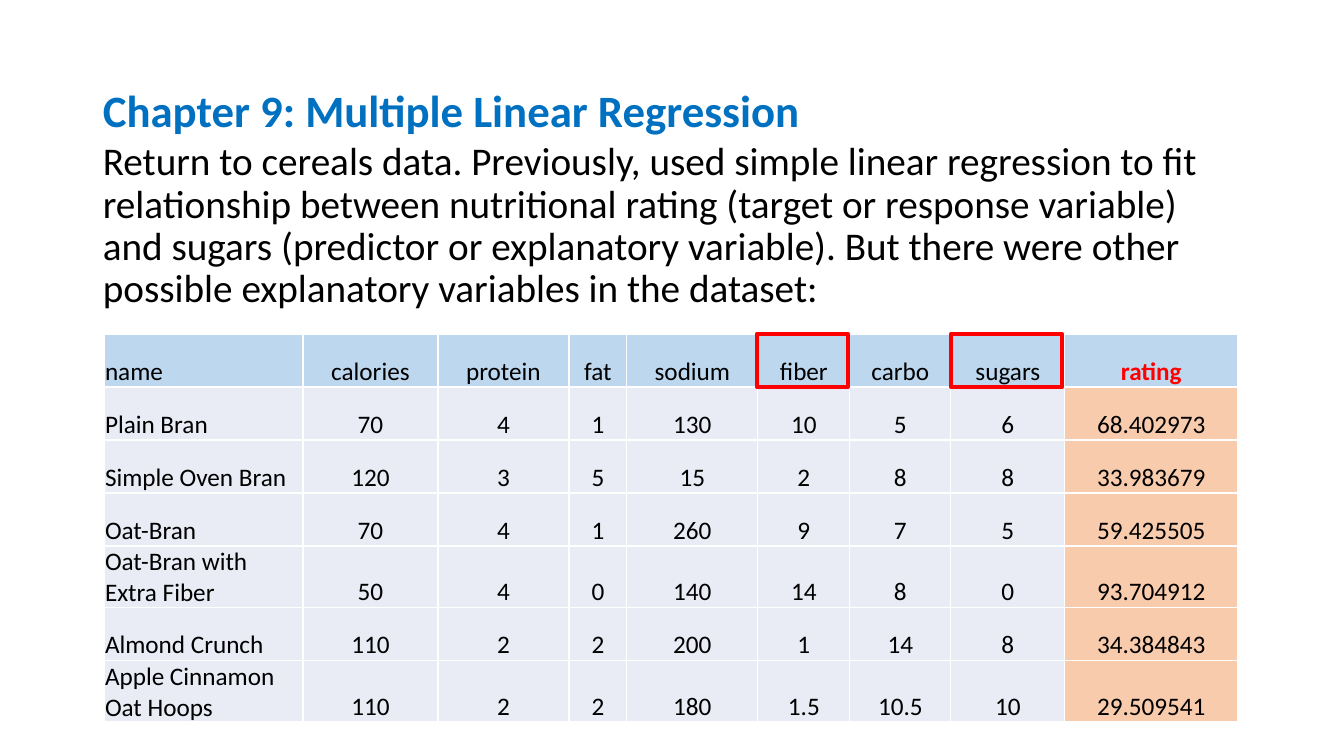
from dataclasses import dataclass
from typing import Any
from lxml.etree import SubElement
from pptx import Presentation
from pptx.dml.color import RGBColor
from pptx.enum.shapes import MSO_SHAPE
from pptx.enum.text import MSO_ANCHOR, PP_ALIGN
from pptx.oxml.ns import qn
from pptx.util import Emu, Pt


@dataclass(frozen=True)
class Theme:
    font: str = "Calibri"
    blue: str = "0070C0"
    black: str = "000000"
    red: str = "FF0000"
    white: str = "FFFFFF"
    head: str = "BDD7EE"
    body: str = "E9EBF5"
    peach: str = "F8CBAD"
    title: int = 32
    lead: int = 28
    cell: int = 18
    grid: int = 1
    mark: int = 3


@dataclass(frozen=True)
class Box:
    left: int
    top: int
    width: int
    height: int

    def emu(self) -> list[Emu]:
        return [px(n) for n in (self.left, self.top, self.width, self.height)]


@dataclass(frozen=True)
class Label:
    text: str
    box: Box
    size: int
    color: str
    bold: bool
    anchor: Any
    before: int


THEME = Theme()
SCALE = 914400 / 100.8


def px(n: int) -> Emu:
    return Emu(round(n * SCALE))


def style(para: Any, size: int, color: str, bold: bool = False) -> None:
    font = para.font
    font.name, font.size, font.bold = THEME.font, Pt(size), bold
    font.color.rgb = RGBColor.from_string(color)


def write(slide: Any, label: Label) -> None:
    frame = slide.shapes.add_textbox(*label.box.emu()).text_frame
    frame.word_wrap = True
    frame.vertical_anchor = label.anchor
    para = frame.paragraphs[0]
    para.text = label.text
    para.line_spacing = 0.9
    para.space_before = Pt(label.before)
    style(para, label.size, label.color, label.bold)


def border(cell: Any) -> None:
    props = cell._tc.get_or_add_tcPr()
    for spot, side in enumerate(("lnL", "lnR", "lnT", "lnB")):
        line = SubElement(props, qn(f"a:{side}"), w=str(Pt(THEME.grid)))
        fill = SubElement(line, qn("a:solidFill"))
        SubElement(fill, qn("a:srgbClr"), val=THEME.white)
        props.insert(spot, line)  # borders precede the fill


def fill_cell(cell: Any, text: str, row: int, col: int) -> None:
    rating = col == len(COLS) - 1
    key = row == 0 and rating
    cell.margin_left = cell.margin_right = cell.margin_top = px(1)
    cell.margin_bottom = 0
    cell.vertical_anchor = MSO_ANCHOR.BOTTOM
    para = cell.text_frame.paragraphs[0]
    para.text = text
    para.alignment = PP_ALIGN.CENTER if col else PP_ALIGN.LEFT
    style(para, THEME.cell, THEME.red if key else THEME.black, key)
    shade = THEME.head if row == 0 else THEME.peach if rating else THEME.body
    cell.fill.solid()
    cell.fill.fore_color.rgb = RGBColor.from_string(shade)
    border(cell)


def add_grid(slide: Any, left: int, top: int) -> None:
    box = Box(left, top, sum(COLS), ROW * len(DATA))
    table = slide.shapes.add_table(len(DATA), len(COLS), *box.emu()).table
    for col, width in zip(table.columns, COLS):
        col.width = px(width)
    for r, items in enumerate(DATA):
        table.rows[r].height = px(ROW)
        for c, text in enumerate(items):
            fill_cell(table.cell(r, c), text, r, c)


def frame_head(slide: Any, box: Box) -> None:
    shape = slide.shapes.add_shape(MSO_SHAPE.RECTANGLE, *box.emu())
    shape.shadow.inherit = False
    shape.fill.background()
    shape.line.color.rgb = RGBColor.from_string(THEME.red)
    shape.line.width = Pt(THEME.mark)


LABELS = (
    Label("Chapter 9: Multiple Linear Regression", Box(93, 40, 1159, 146),
          THEME.title, THEME.blue, True, MSO_ANCHOR.MIDDLE, 0),
    Label("Return to cereals data. Previously, used simple linear regression "
          "to fit relationship between nutritional rating (target or response "
          "variable) and sugars (predictor or explanatory variable). But there "
          "were other possible explanatory variables in the dataset:",
          Box(93, 137, 1159, 543),
          THEME.lead, THEME.black, False, MSO_ANCHOR.TOP, 10),
)

ROW, TOP = 53, 334
COLS = (199, 135, 131, 58, 131, 92, 101, 114, 173)
DATA = (
    ("name", "calories", "protein", "fat", "sodium", "fiber", "carbo",
     "sugars", "rating"),
    ("Plain Bran", "70", "4", "1", "130", "10", "5", "6", "68.402973"),
    ("Simple Oven Bran", "120", "3", "5", "15", "2", "8", "8", "33.983679"),
    ("Oat-Bran", "70", "4", "1", "260", "9", "7", "5", "59.425505"),
    ("Oat-Bran with Extra Fiber", "50", "4", "0", "140", "14", "8", "0",
     "93.704912"),
    ("Almond Crunch", "110", "2", "2", "200", "1", "14", "8", "34.384843"),
    ("Apple Cinnamon Oat Hoops", "110", "2", "2", "180", "1.5", "10.5", "10",
     "29.509541"),
)
# Frames around the sugars and fiber headings
MARKS = (Box(951, TOP, 111, ROW), Box(757, TOP, 91, ROW))

deck = Presentation()
deck.slide_width, deck.slide_height = px(1344), px(756)
slide = deck.slides.add_slide(deck.slide_layouts[6])

# Title and lead text
for label in LABELS:
    write(slide, label)

# Cereal table with its marked headings
add_grid(slide, 104, TOP)
for mark in MARKS:
    frame_head(slide, mark)

deck.save("out.pptx")
